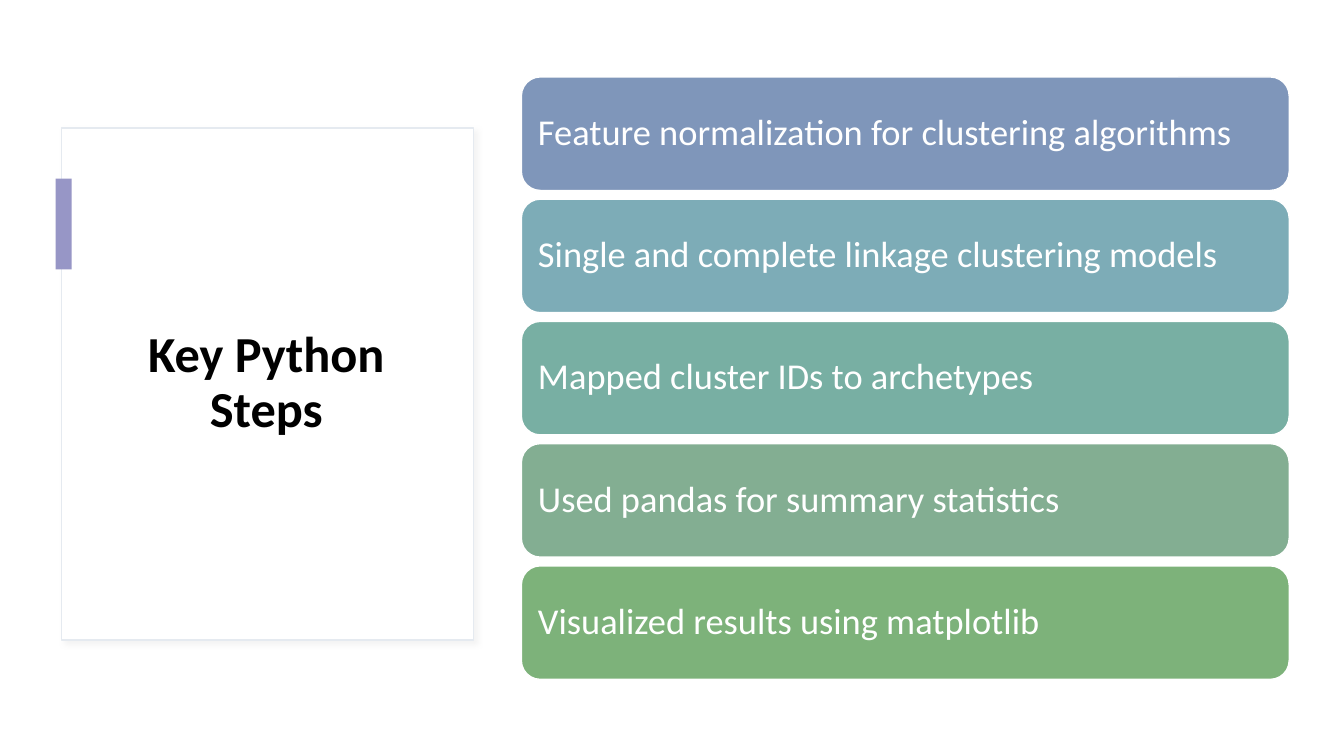
from dataclasses import dataclass

from lxml.etree import SubElement
from pptx import Presentation
from pptx.dml.color import RGBColor
from pptx.enum.shapes import MSO_SHAPE as Kind
from pptx.enum.text import MSO_ANCHOR as Anchor, PP_ALIGN as Align
from pptx.oxml.ns import qn
from pptx.shapes.autoshape import Shape
from pptx.slide import Slide
from pptx.util import Cm, Pt

HUES = {
    "white": "FFFFFF",
    "black": "000000",
    "edge": "E5EAF0",
    "shade": "D9D9D9",
    "tag": "9796C6",
    "blue": "7F96BA",
    "teal": "7DACB7",
    "jade": "78AFA3",
    "sage": "83AE92",
    "green": "7DB27A",
}


@dataclass(frozen=True)
class Box:
    """A place on the slide, in centimetres."""
    left: float
    top: float
    width: float
    height: float

    def emu(self) -> tuple[Cm, Cm, Cm, Cm]:
        return Cm(self.left), Cm(self.top), Cm(self.width), Cm(self.height)


@dataclass(frozen=True)
class Step:
    text: str
    hue: str


STEPS = [
    Step("Feature normalization for clustering algorithms", "blue"),
    Step("Single and complete linkage clustering models", "teal"),
    Step("Mapped cluster IDs to archetypes", "jade"),
    Step("Used pandas for summary statistics", "sage"),
    Step("Visualized results using matplotlib", "green"),
]
CARD = Box(1.55, 3.23, 10.39, 12.9)
TITLE = Box(2.41, 4.78, 8.61, 9.78)
TAG = Box(1.4, 4.5, 0.41, 2.29)
FIRST = Box(13.14, 1.94, 19.35, 2.86)
PITCH = 3.08


def rgb(hue: str) -> RGBColor:
    return RGBColor.from_string(HUES[hue])


def add_block(slide: Slide, box: Box, hue: str, *, kind: Kind = Kind.RECTANGLE,
              line: str | None = None) -> Shape:
    block = slide.shapes.add_shape(kind, *box.emu())
    block.shadow.inherit = False
    block.fill.solid()
    block.fill.fore_color.rgb = rgb(hue)
    if line:
        block.line.color.rgb = rgb(line)
        block.line.width = Pt(1)
    else:
        block.line.fill.background()
    return block


def add_shade(block: Shape) -> None:
    """Give the block a soft shadow to the lower right."""
    effects = block.element.spPr.find(qn("a:effectLst"))
    outer = SubElement(effects, qn("a:outerShdw"), blurRad=str(Pt(4)),
                       dist=str(Pt(3)), dir=str(45 * 60000))
    color = SubElement(outer, qn("a:srgbClr"), val=HUES["shade"])
    SubElement(color, qn("a:alpha"), val="30000")


def set_text(shape: Shape, text: str, *, size: float, hue: str,
             bold: bool = False, align: Align = Align.LEFT,
             inset: float = 0.25) -> None:
    frame = shape.text_frame
    frame.word_wrap = True
    frame.vertical_anchor = Anchor.MIDDLE
    frame.margin_left = frame.margin_right = Cm(inset)
    frame.margin_top = frame.margin_bottom = Cm(inset)
    para = frame.paragraphs[0]
    para.alignment = align
    para.line_spacing = 0.9
    run = para.add_run()
    run.text = text
    font = run.font
    font.name = "Calibri"
    font.size = Pt(size)
    font.bold = bold
    font.color.rgb = rgb(hue)


def add_title(slide: Slide) -> None:
    add_shade(add_block(slide, CARD, "white", line="edge"))
    title = slide.shapes.add_textbox(*TITLE.emu())
    set_text(title, "Key Python Steps", size=36, hue="black", bold=True,
             align=Align.CENTER)
    add_block(slide, TAG, "tag")


def add_steps(slide: Slide) -> None:
    for i, step in enumerate(STEPS):
        box = Box(FIRST.left, FIRST.top + i * PITCH, FIRST.width, FIRST.height)
        bar = add_block(slide, box, step.hue, kind=Kind.ROUNDED_RECTANGLE,
                        line="white")
        set_text(bar, step.text, size=26, hue="white", inset=0.28)


def main() -> None:
    deck = Presentation()
    deck.slide_width, deck.slide_height = Cm(33.87), Cm(19.05)
    slide = deck.slides.add_slide(deck.slide_layouts[6])
    add_title(slide)
    add_steps(slide)
    deck.save("out.pptx")


if __name__ == "__main__":
    main()
